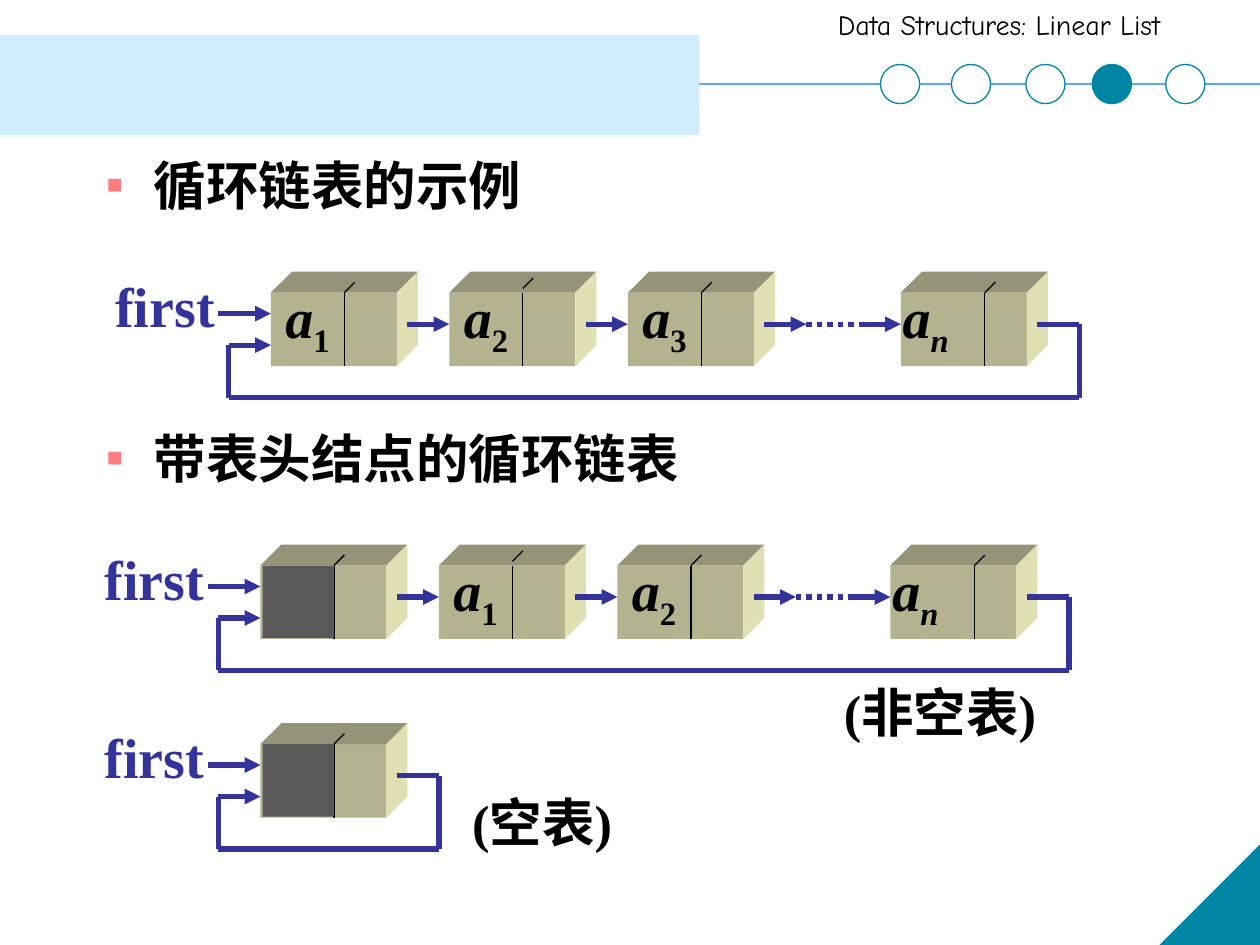
from lxml import etree
from pptx import Presentation as Deck
from pptx.dml.color import RGBColor as Rgb
from pptx.enum.dml import MSO_LINE_DASH_STYLE as Dash
from pptx.enum.shapes import MSO_CONNECTOR as Link, MSO_SHAPE as Kind
from pptx.enum.text import MSO_ANCHOR as Anchor, MSO_AUTO_SIZE as Fit
from pptx.oxml.ns import qn
from pptx.util import Cm, Pt

UNIT = 2.54 / 12
TEAL, NAVY, BLACK, WHITE = "0085A4", "333399", "000000", "FFFFFF"
FRONT, TOP, SIDE, GRAY = "B3B38F", "949478", "E0E0B4", "595959"


def tint(code):
    return Rgb.from_string(code)


def add(node, tag, **attrs):
    return etree.SubElement(node, qn(tag), attrs)


def write(para, text, size=32, color=BLACK, font="Times New Roman",
          bold=True, italic=False, base=None):
    run = para.add_run()
    run.text = text
    run.font.size = Pt(size)
    run.font.name = font
    run.font.bold = bold
    run.font.italic = italic
    run.font.color.rgb = tint(color)
    if base:
        run._r.get_or_add_rPr().set("baseline", str(base * 1000))


def label(slide, left, top, width, height, wrap=False):
    frame = slide.shapes.add_textbox(Cm(left), Cm(top), Cm(width), Cm(height)).text_frame
    frame.word_wrap = wrap
    return frame.paragraphs[0]


def paint(shape, fill, edge=None):
    shape.shadow.inherit = False
    shape.fill.solid()
    shape.fill.fore_color.rgb = tint(fill)
    if edge:
        shape.line.color.rgb = tint(edge)
        shape.line.width = Pt(0.75)
    else:
        shape.line.fill.background()
    return shape


def block(slide, kind, left, top, width, height, fill, edge=None):
    shape = slide.shapes.add_shape(kind, Cm(left), Cm(top), Cm(width), Cm(height))
    return paint(shape, fill, edge)


def line(slide, start, end, color=NAVY, width=3, arrow=False, dots=False):
    link = slide.shapes.add_connector(Link.STRAIGHT, *map(Cm, start + end))
    link.line.color.rgb = tint(color)
    link.line.width = Pt(width)
    if dots:
        link.line.dash_style = Dash.ROUND_DOT
    props = link._element.spPr
    if arrow:
        add(props.find(qn("a:ln")), "a:tailEnd", type="triangle")
    add(props, "a:effectLst")


class Chain:
    def __init__(self, slide, left, top):
        self.slide, self.left, self.top = slide, left, top

    def at(self, col, row):
        return self.left + col * UNIT, self.top + row * UNIT

    def line(self, start, end, **style):
        line(self.slide, self.at(*start), self.at(*end), **style)

    def face(self, points, fill):
        spots = [tuple(map(Cm, self.at(*point))) for point in points]
        form = self.slide.shapes.build_freeform(*spots[0])
        form.add_line_segments(spots[1:])
        paint(form.convert_to_shape(), fill)

    def rect(self, col, row, wide, high, fill):
        block(self.slide, Kind.RECTANGLE, *self.at(col, row), wide * UNIT, high * UNIT, fill)

    def node(self, col, sub=None, split=7, lift=0):
        end = col + 12
        self.rect(col, 0, 12, 7, FRONT)
        self.face([(col, 0), (col + 2, -2), (end + 2, -2), (end, 0)], TOP)
        self.face([(end, 0), (end + 2, -2), (end + 2, 5), (end, 7)], SIDE)
        mid = col + split
        self.line((mid, 0), (mid, 7), color=BLACK, width=0.75)
        self.line((mid, -lift), (mid + 1, -1 - lift), color=BLACK, width=0.75)
        if sub:
            last = sub == "n"
            spot = self.at(col + (-1 if last else 0.2), -1.55)
            para = label(self.slide, *spot, 1.45, 1.63)
            write(para, "a", italic=True)
            write(para, sub, italic=last, base=-25)
        else:
            self.rect(col + 0.2, 0, 6.8, 6.9, GRAY)

    def entry(self, start):
        write(label(self.slide, *self.at(-16, -2.6), 2.54, 1.63), "first", color=NAVY)
        self.line((start, 2), (0, 2), arrow=True)

    def loop(self, end):
        path = [(end - 4, 3), (end, 3), (end, 10), (-4, 10), (-4, 5), (0, 5)]
        for start, stop in zip(path, path[1:]):
            self.line(start, stop, arrow=stop == path[-1])


def draw_list(slide, left, top, subs, start):
    chain = Chain(slide, left, top)
    for index, sub in enumerate(subs):
        chain.node(17 * index, sub, lift=0.4 if index == 1 else 0)
    chain.node(60, "n", split=8)
    for col in (13, 30, 47, 56):
        chain.line((col, 3), (col + 4, 3), arrow=True)
    chain.line((51, 3), (57, 3), dots=True)
    chain.entry(start)
    chain.loop(77)


def draw_empty(slide, left, top):
    chain = Chain(slide, left, top)
    chain.node(0)
    chain.entry(-5)
    chain.loop(17)


def draw_frame(slide):
    line(slide, (0, 1.7), (25.4, 1.7), color="5AAAED", width=1)
    block(slide, Kind.RIGHT_TRIANGLE, 23.39, 17.04, 2.01, 2.01, TEAL, TEAL).rotation = 270
    block(slide, Kind.RECTANGLE, 0, 0.71, 14.1, 2.01, "CFEDFE")
    write(label(slide, 16.64, 0.03, 8.76, 0.94, wrap=True),
          "Data Structures: Linear List", size=16, font="Comic Neue", bold=False)
    for index, left in enumerate((17.75, 19.18, 20.68, 22.02, 23.5)):
        block(slide, Kind.OVAL, left, 1.3, 0.79, 0.79, TEAL if index == 3 else WHITE, TEAL)


def fill_body(slide):
    title = slide.shapes.title._element
    title.getparent().remove(title)
    body = slide.placeholders[1]
    body.left, body.top, body.width, body.height = map(Cm, (1.9, 2.9, 21.59, 8.25))
    frame = body.text_frame
    frame.auto_size = Fit.NONE
    frame.vertical_anchor = Anchor.TOP
    for index, text in enumerate(("循环链表的示例", "带表头结点的循环链表")):
        para = frame.add_paragraph() if index else frame.paragraphs[0]
        props = para._p.get_or_add_pPr()
        props.set("marL", str(Cm(0.95)))
        props.set("indent", str(Cm(-0.95)))
        add(add(props, "a:buClr"), "a:srgbClr", val="FF7C80")
        add(props, "a:buSzPct", val="50000")
        add(props, "a:buChar", char="■")
        para.line_spacing = 1.05
        para.space_before = Pt(118 * index)
        write(para, text, size=30)


def main():
    deck = Deck()
    deck.slide_width, deck.slide_height = Cm(25.4), Cm(19.05)
    slide = deck.slides.add_slide(deck.slide_layouts[1])
    draw_frame(slide)
    fill_body(slide)
    draw_list(slide, 5.46, 5.9, "123", -5)
    draw_list(slide, 5.25, 11.4, (None, "1", "2"), -5)
    draw_empty(slide, 5.25, 15)
    write(label(slide, 9.27, 15.8, 3.38, 1.55, wrap=True), "(空表)", size=30)
    write(label(slide, 16.76, 13.59, 4.45, 1.55, wrap=True), "(非空表)", size=30)
    deck.save("out.pptx")


if __name__ == "__main__":
    main()
